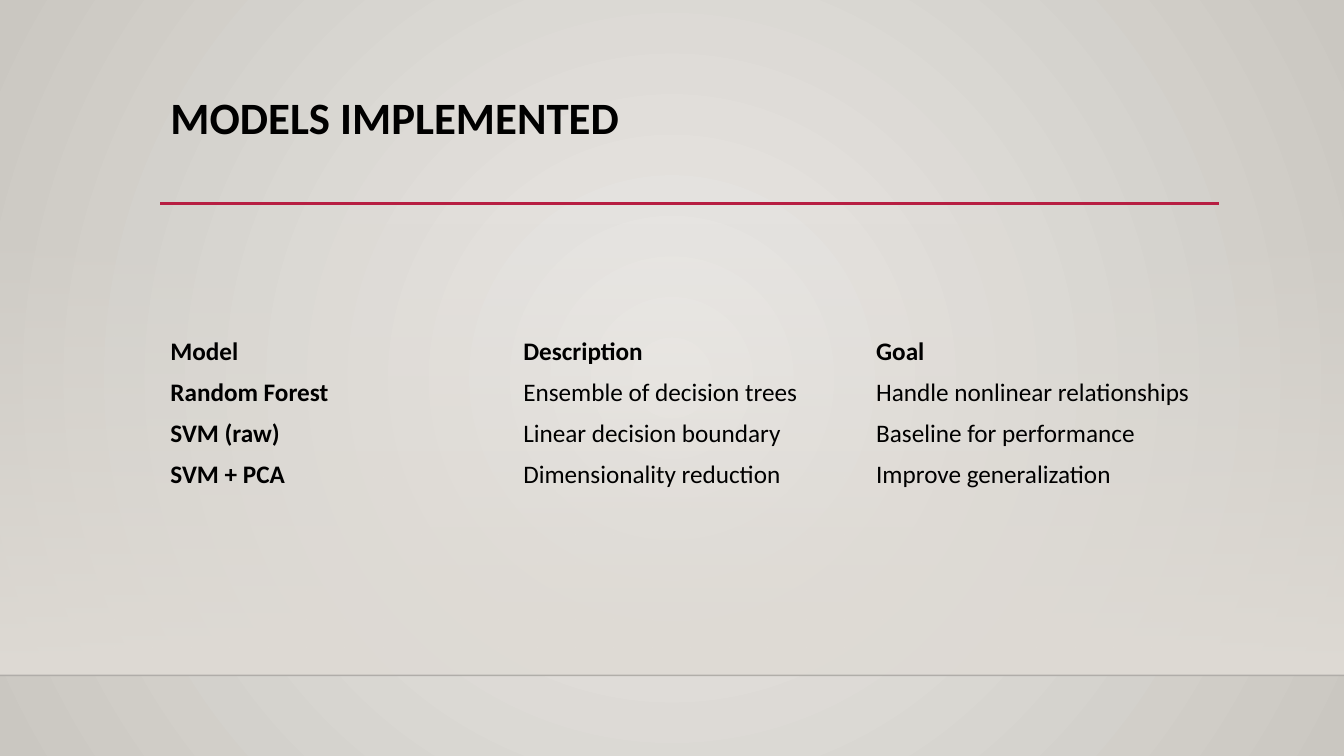
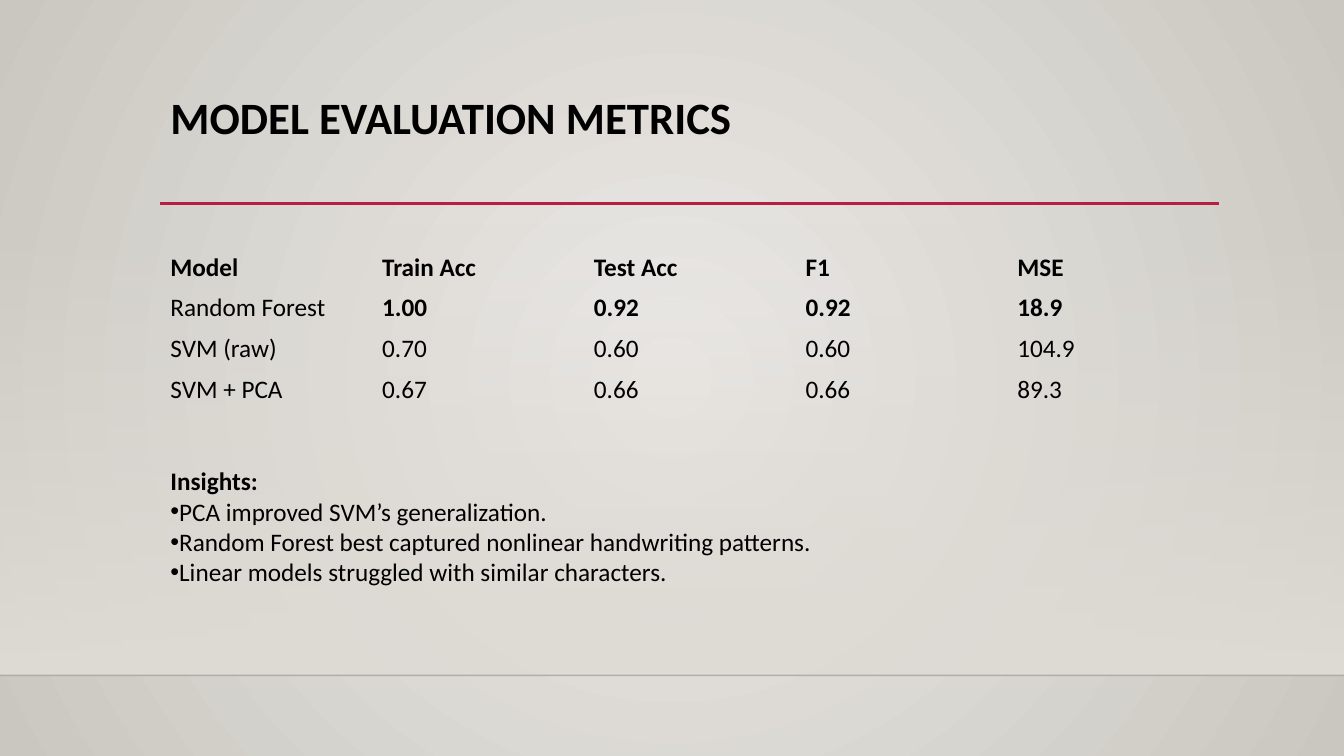
from pptx import Presentation
from pptx.dml.color import RGBColor
from pptx.enum.shapes import MSO_CONNECTOR, MSO_SHAPE
from pptx.enum.text import MSO_ANCHOR, MSO_AUTO_SIZE, PP_ALIGN
from pptx.oxml.ns import qn
from pptx.oxml.xmlchemy import OxmlElement
from pptx.util import Inches, Pt

LEFT = PP_ALIGN.LEFT
TOP, MIDDLE = MSO_ANCHOR.TOP, MSO_ANCHOR.MIDDLE
NO_AUTOFIT = MSO_AUTO_SIZE.NONE
RECTANGLE = MSO_SHAPE.RECTANGLE
STRAIGHT = MSO_CONNECTOR.STRAIGHT

COLORS = {
    "text": "000000",
    "accent": "B71E42",
    "floor": "000001",
    "band": "DFDBD5",
    "glow": "ECEAE7",
    "edge": "CAC7C1",
}
FONT = "Calibri"
PAGE_WIDTH, PAGE_HEIGHT = 13.33, 7.5
MARGIN, CONTENT_WIDTH = 1.59, 10.5
FLOOR_TOP = 6.7
ROW_HEIGHT = 0.4
PLAIN_TABLE = "{2D5ABB26-0587-4C30-8999-92F81FD0307C}"
TITLE_AND_BODY, TITLE_ONLY = 1, 5


def color(name):
    return RGBColor.from_string(COLORS[name])


def child(parent, tag, **attributes):
    element = OxmlElement(tag)
    for key, value in attributes.items():
        element.set(key, str(value))
    parent.append(element)
    return element


def set_opacity(color_element, percent):
    child(color_element, "a:alpha", val=percent * 1000)


def set_gradient(fill, *names):
    fill.gradient()
    for stop, name in zip(fill.gradient_stops, names):
        stop.color.rgb = color(name)


class Builder:
    """Holds the deck, its style and the current slide."""

    def __init__(self):
        self.deck = Presentation()
        self.deck.slide_width = Inches(PAGE_WIDTH)
        self.deck.slide_height = Inches(PAGE_HEIGHT)
        self.page = None
        self.set_background()

    def set_background(self):
        # Radial glow, shared through the slide master
        master = self.deck.slide_master
        set_gradient(master.background.fill, "glow", "edge")
        gradient = master.element.find(".//" + qn("a:gradFill"))
        gradient.remove(gradient.find(qn("a:lin")))
        circle = child(gradient, "a:path", path="circle")
        child(circle, "a:fillToRect", l=50000, t=50000, r=50000, b=50000)

    def add_page(self, title, layout):
        self.page = self.deck.slides.add_slide(self.deck.slide_layouts[layout])
        decorations = [
            self.add_band(),
            self.add_line(0, PAGE_WIDTH, FLOOR_TOP, "floor", 1, 20),
            self.add_line(MARGIN, MARGIN + CONTENT_WIDTH, 2.02, "accent", 2.5),
        ]
        # Decorations lie behind the placeholders
        tree = self.page.shapes.element
        for position, shape in enumerate(decorations, start=2):
            tree.insert(position, shape.element)
        self.set_title(title)

    def add_band(self):
        band = self.page.shapes.add_shape(
            RECTANGLE, 0, Inches(2.21), Inches(PAGE_WIDTH), Inches(FLOOR_TOP - 2.21))
        band.shadow.inherit = False
        band.line.fill.background()
        set_gradient(band.fill, "band", "band")
        band.fill.gradient_angle = 270
        set_opacity(band.element.find(".//" + qn("a:srgbClr")), 0)
        return band

    def add_line(self, start, end, top, name, width, opacity=100):
        line = self.page.shapes.add_connector(
            STRAIGHT, Inches(start), Inches(top), Inches(end), Inches(top))
        line.line.color.rgb = color(name)
        line.line.width = Pt(width)
        if opacity < 100:
            set_opacity(line.element.find(".//" + qn("a:srgbClr")), opacity)
        child(line.element.spPr, "a:effectLst")
        return line

    def place(self, box, top, width, height):
        box.left, box.top = Inches(MARGIN), Inches(top)
        box.width, box.height = Inches(width), Inches(height)
        frame = box.text_frame
        frame.word_wrap = True
        frame.auto_size = NO_AUTOFIT
        frame.vertical_anchor = TOP
        return frame

    def format(self, para, size=18, bold=False):
        para.alignment = LEFT
        para.space_before = Pt(0)
        para.font.name = FONT
        para.font.size = Pt(size)
        para.font.bold = bold
        para.font.color.rgb = color("text")

    def set_title(self, text):
        frame = self.place(self.page.shapes.title, 0.9, CONTENT_WIDTH, 1.13)
        frame.text = text
        para = frame.paragraphs[0]
        para.line_spacing = 0.9
        self.format(para, 32, True)

    def add_table(self, top, rows, is_bold):
        count = len(rows[0])
        frame = self.page.shapes.add_table(
            len(rows), count, Inches(MARGIN), Inches(top),
            Inches(CONTENT_WIDTH), Inches(ROW_HEIGHT * len(rows)))
        table = frame.table
        table.first_row = table.horz_banding = False
        frame.element.find(".//" + qn("a:tableStyleId")).text = PLAIN_TABLE
        for row, texts in enumerate(rows):
            for column, text in enumerate(texts):
                cell = table.cell(row, column)
                cell.fill.background()
                cell.vertical_anchor = MIDDLE
                cell.text = text
                self.format(cell.text_frame.paragraphs[0], bold=is_bold(row, column))

    def set_list(self, top, width, height, heading, items):
        frame = self.place(self.page.placeholders[1], top, width, height)
        frame.text = "\n".join([heading, *items])
        for index, para in enumerate(frame.paragraphs):
            properties = para._p.get_or_add_pPr()
            properties.set("marL", "0")
            properties.set("indent", "0")
            if index:
                child(properties, "a:buFont", typeface="Arial")
                child(properties, "a:buChar", char="•")
            else:
                child(properties, "a:buNone")
            self.format(para, bold=index == 0)


def main():
    builder = Builder()

    # Models: bold header row and first column
    builder.add_page("MODELS IMPLEMENTED", TITLE_ONLY)
    builder.add_table(3.29, [
        ("Model", "Description", "Goal"),
        ("Random Forest", "Ensemble of decision trees", "Handle nonlinear relationships"),
        ("SVM (raw)", "Linear decision boundary", "Baseline for performance"),
        ("SVM + PCA", "Dimensionality reduction", "Improve generalization"),
    ], lambda row, column: row == 0 or column == 0)

    # Metrics: bold header row and best scores
    builder.add_page("MODEL EVALUATION METRICS", TITLE_AND_BODY)
    builder.add_table(2.45, [
        ("Model", "Train Acc", "Test Acc", "F1", "MSE"),
        ("Random Forest", "1.00", "0.92", "0.92", "18.9"),
        ("SVM (raw)", "0.70", "0.60", "0.60", "104.9"),
        ("SVM + PCA", "0.67", "0.66", "0.66", "89.3"),
    ], lambda row, column: row == 0 or (row == 1 and column > 0))
    builder.set_list(4.57, 7.58, 1.31, "Insights:", [
        "PCA improved SVM’s generalization.",
        "Random Forest best captured nonlinear handwriting patterns.",
        "Linear models struggled with similar characters.",
    ])

    builder.deck.save("out.pptx")


if __name__ == "__main__":
    main()
